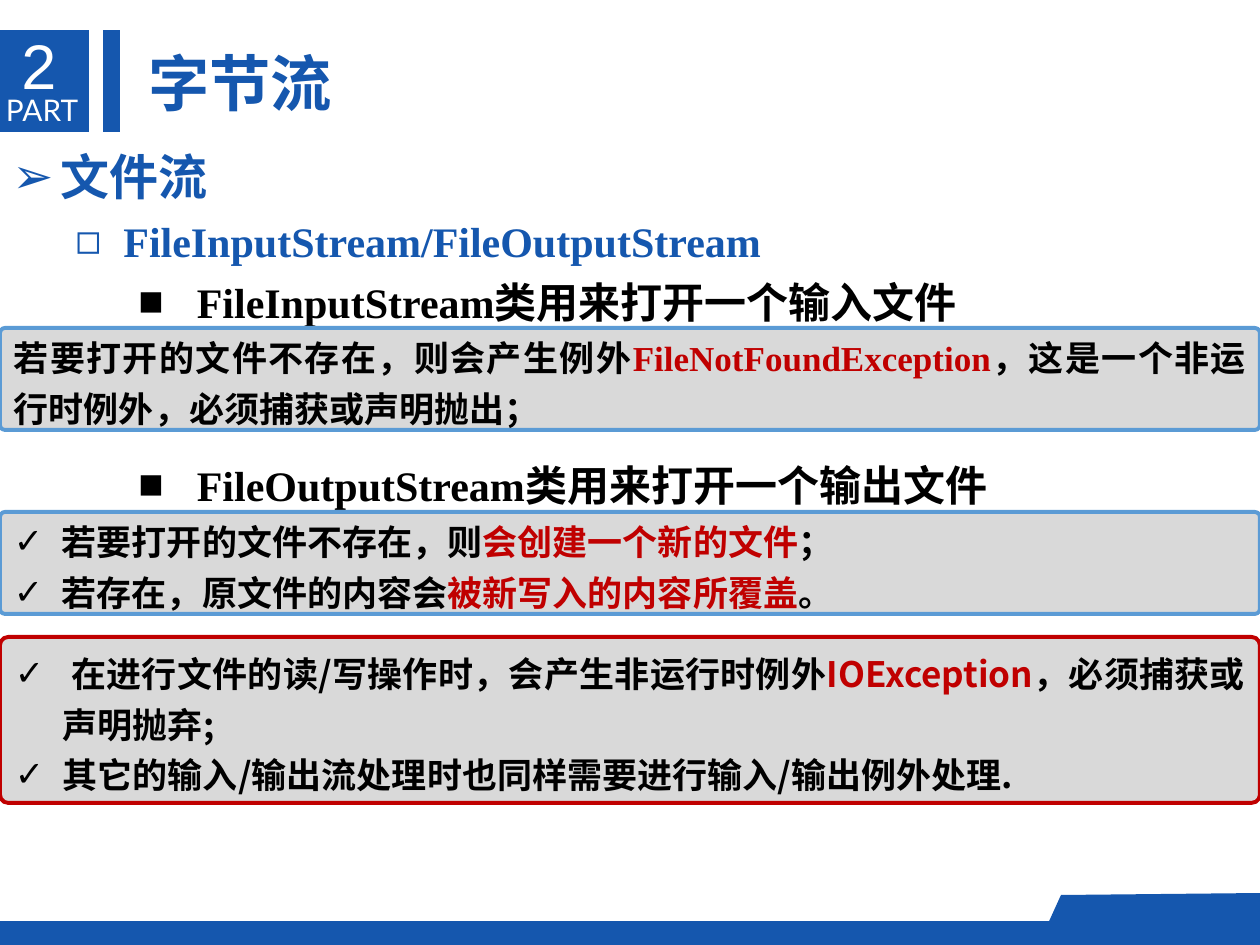
from lxml.etree import SubElement
from pptx import Presentation
from pptx.dml.color import RGBColor
from pptx.enum.shapes import MSO_SHAPE
from pptx.enum.text import MSO_ANCHOR, MSO_AUTO_SIZE, PP_ALIGN
from pptx.oxml.ns import qn
from pptx.util import Emu, Pt

PX = 914400 / 126
WIDTH, HEIGHT = 1260, 945
INDENT = 48
SERIF, SANS = "Times New Roman", "Noto Sans CJK SC"
COLORS = {
    "brand": "1557AE",
    "white": "FFFFFF",
    "black": "000000",
    "red": "C00000",
    "panel": "D9D9D9",
    "edge": "5B9BD5",
}


def px(length):
    return Emu(round(length * PX))


def color(name):
    return RGBColor.from_string(COLORS[name])


def paint(shape, fill, line=None):
    shape.shadow.inherit = False
    shape.fill.solid()
    shape.fill.fore_color.rgb = color(fill)
    if line:
        shape.line.color.rgb = color(line)
        shape.line.width = Pt(2.25)
    else:
        shape.line.fill.background()


def add_bar(page, left, top, width, height):
    bar = page.shapes.add_shape(
        MSO_SHAPE.FLOWCHART_PROCESS, px(left), px(top), px(width), px(height))
    paint(bar, "brand")


def add_text_box(page, left, top, width, height, wrap=False):
    box = page.shapes.add_textbox(px(left), px(top), px(width), px(height))
    box.text_frame.word_wrap = wrap
    box.text_frame.auto_size = MSO_AUTO_SIZE.SHAPE_TO_FIT_TEXT
    return box.text_frame


def set_font(para, name, size, shade, bold=False):
    """Set the Latin font, and the one Chinese font used throughout."""
    font = para.font
    font.name, font.size, font.bold = name, Pt(size), bold
    font.color.rgb = color(shade)
    east_asian = SubElement(font._element, qn("a:ea"))
    east_asian.set("typeface", SANS)


def set_bullet(para, mark, margin):
    """Hang a bullet by one indent; call before set_font to keep XML order."""
    props = para._p.get_or_add_pPr()
    props.set("marL", str(px(margin)))
    props.set("indent", str(px(-INDENT)))
    SubElement(props, qn("a:buFont")).set("typeface", "Arial")
    SubElement(props, qn("a:buChar")).set("char", mark)


def next_paragraph(frame, index):
    return frame.add_paragraph() if index else frame.paragraphs[0]


def add_header(page, left, top, number, title):
    add_bar(page, left, top, 89, 102)
    add_bar(page, left + 103, top, 17, 102)
    labels = [
        ("PART", (6, 62, 76, 37), "Lato", 17, "white", False, 0),
        (number, (9, -10, 67, 89), "Arial", 36, "white", False, None),
        (title, (136, 9, 210, 87), SANS, 35, "brand", True, None),
    ]
    for text, (x, y, width, height), font, size, shade, bold, inset in labels:
        frame = add_text_box(page, left + x, top + y, width, height)
        if inset is not None:
            frame.margin_left = frame.margin_right = inset
            frame.margin_top = frame.margin_bottom = inset
        para = frame.paragraphs[0]
        para.add_run().text = text
        set_font(para, font, size, shade, bold)


def add_footer(page, top):
    add_bar(page, 0, top, WIDTH, HEIGHT - top)
    builder = page.shapes.build_freeform(WIDTH, top + 18, scale=PX)
    builder.add_line_segments(
        [(WIDTH, top - 28), (1061, top - 26), (1041, top + 18)])
    paint(builder.convert_to_shape(), "brand")


def add_outline(page, left, top, width, height, items):
    """Each item is level, bullet, text, font, size, colour, space before."""
    frame = add_text_box(page, left, top, width, height, wrap=True)
    for index, (level, mark, text, font, size, shade, gap) in enumerate(items):
        para = next_paragraph(frame, index)
        para.level = level
        para.line_spacing = 1.2
        para.space_before = Pt(gap)
        set_bullet(para, mark, INDENT + 63 * (level - 1))
        para.add_run().text = text
        set_font(para, font, size, shade, True)


def add_panel(page, left, top, width, height, edge, font, lines, mark=None):
    """Each line is a list of spans, black and red by turns."""
    panel = page.shapes.add_shape(
        MSO_SHAPE.ROUNDED_RECTANGLE, px(left), px(top), px(width), px(height))
    panel.adjustments[0] = 0.05
    paint(panel, "panel", edge)
    frame = panel.text_frame
    frame.word_wrap = True
    frame.vertical_anchor = MSO_ANCHOR.MIDDLE
    for index, spans in enumerate(lines):
        para = next_paragraph(frame, index)
        para.alignment = PP_ALIGN.JUSTIFY
        para.line_spacing = 1.2
        if mark:
            set_bullet(para, mark, INDENT)
        set_font(para, font, 20, "black", True)
        for position, text in enumerate(spans):
            span = para.add_run()
            span.text = text
            span.font.color.rgb = color("red" if position % 2 else "black")


def main():
    deck = Presentation()
    deck.slide_width, deck.slide_height = px(WIDTH), px(HEIGHT)
    page = deck.slides.add_slide(deck.slide_layouts[6])
    add_header(page, 0, 30, "2", "字节流")
    add_footer(page, 921)
    add_outline(page, 0, 129, WIDTH, 383, [
        (1, "➢", "文件流", SANS, 28, "brand", 0),
        (2, "◻", "FileInputStream/FileOutputStream", SERIF, 24, "brand", 0),
        (3, "■", " FileInputStream类用来打开一个输入文件", SERIF, 24, "black", 0),
        (3, "■", " FileOutputStream类用来打开一个输出文件", SERIF, 24, "black", 70),
    ])
    add_panel(page, 0, 328, WIDTH, 102, "edge", SERIF, [
        ["若要打开的文件不存在，则会产生例外", "FileNotFoundException",
         "，这是一个非运行时例外，必须捕获或声明抛出；"],
    ])
    add_panel(page, 0, 512, WIDTH, 102, "edge", SERIF, [
        ["若要打开的文件不存在，则", "会创建一个新的文件", "；"],
        ["若存在，原文件的内容会", "被新写入的内容所覆盖", "。"],
    ], "✓")
    add_panel(page, 0, 637, WIDTH, 166, "red", SANS, [
        [" 在进行文件的读/写操作时，会产生非运行时例外", "IOException",
         "，必须捕获或声明抛弃;"],
        ["其它的输入/输出流处理时也同样需要进行输入/输出例外处理."],
    ], "✓")
    deck.save("out.pptx")


if __name__ == "__main__":
    main()
